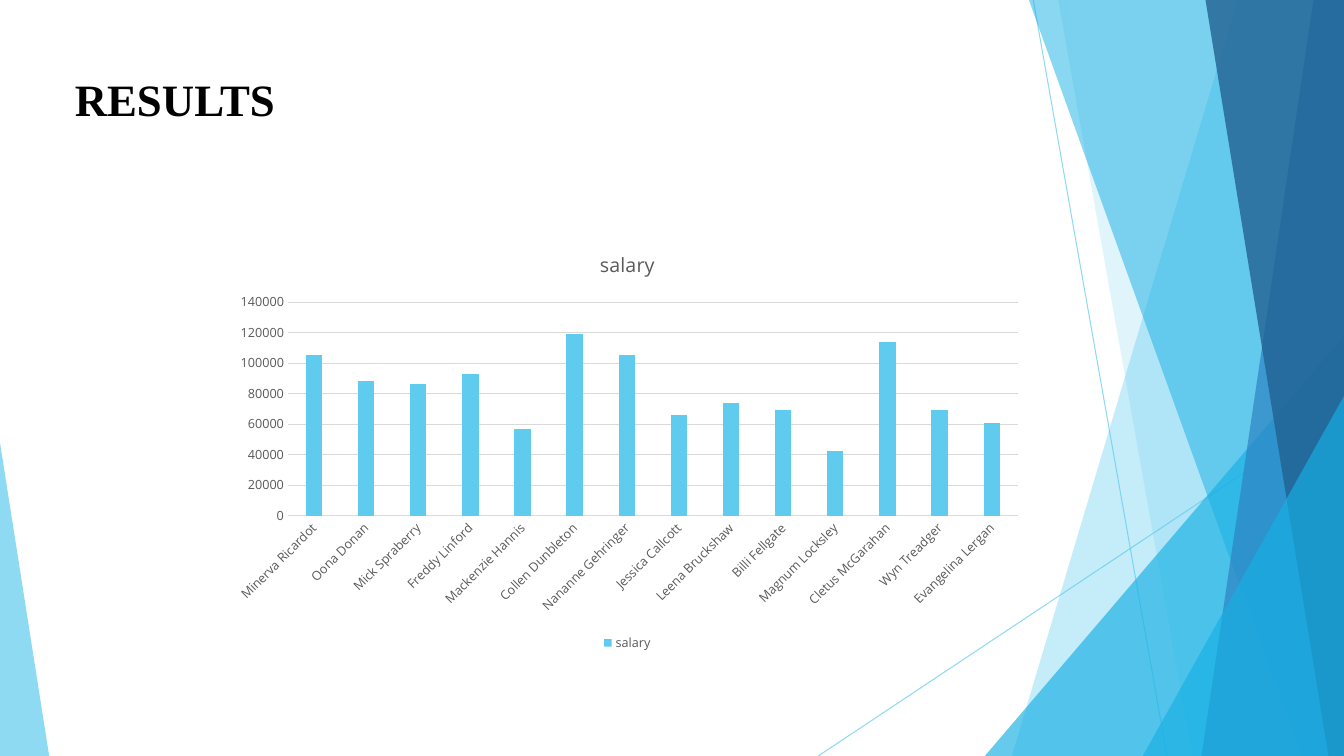
"""Build the salary results slide with its faceted side decoration."""
import dataclasses

import lxml.etree
import pptx
import pptx.chart.data
import pptx.dml.color
import pptx.enum.chart
import pptx.enum.shapes
import pptx.enum.text
import pptx.oxml.ns
import pptx.util

Cm = pptx.util.Cm
Pt = pptx.util.Pt
qn = pptx.oxml.ns.qn

WIDTH, HEIGHT = 33.87, 19.05

SALARIES = {
    "Minerva Ricardot": 105000,
    "Oona Donan": 88000,
    "Mick Spraberry": 86000,
    "Freddy Linford": 93000,
    "Mackenzie Hannis": 57000,
    "Collen Dunbleton": 119000,
    "Nananne Gehringer": 105000,
    "Jessica Callcott": 66000,
    "Leena Bruckshaw": 74000,
    "Billi Fellgate": 69000,
    "Magnum Locksley": 42000,
    "Cletus McGarahan": 114000,
    "Wyn Treadger": 69000,
    "Evangelina Lergan": 61000,
}


@dataclasses.dataclass(frozen=True)
class Theme:
    heading_font: str = "Times New Roman"
    chart_font: str = "Open Sans"
    black: str = "000000"
    grey: str = "595959"
    rule: str = "D9D9D9"
    sky: str = "5FCBEF"
    cyan: str = "17B0E4"
    blue: str = "2E83C3"
    navy: str = "226292"
    heading_size: int = 32
    chart_title_size: int = 14
    chart_size: int = 10
    label_size: int = 9
    hairline: float = 0.75


def rgb(code):
    return pptx.dml.color.RGBColor.from_string(code)


def assign(target, formats):
    for name, value in formats.items():
        setattr(target, name, value)


def set_opacity(fill_parent, percent):
    for color in fill_parent.iter(qn("a:srgbClr")):
        alpha = lxml.etree.SubElement(color, qn("a:alpha"))
        alpha.set("val", str(percent * 1000))


class SlideBuilder:
    def __init__(self, slide, theme):
        self.slide = slide
        self.shapes = slide.shapes
        self.theme = theme

    def style_font(self, font, face, size, color, bold=False):
        assign(font, {"name": face, "size": Pt(size), "bold": bold})
        font.color.rgb = rgb(color)

    def style_rule(self, line):
        line.color.rgb = rgb(self.theme.rule)
        line.width = Pt(self.theme.hairline)

    def tint(self, shape, color, opacity):
        shape.shadow.inherit = False
        shape.fill.solid()
        shape.fill.fore_color.rgb = rgb(color)
        shape.line.fill.background()
        set_opacity(shape._element.spPr, opacity)

    def hairline(self, start, end):
        ends = [Cm(value) for value in (*start, *end)]
        ray = self.shapes.add_connector(
            pptx.enum.shapes.MSO_CONNECTOR.STRAIGHT, *ends)
        ray.line.color.rgb = rgb(self.theme.sky)
        ray.line.width = Pt(self.theme.hairline)
        properties = ray._element.spPr
        set_opacity(properties, 70)
        lxml.etree.SubElement(properties, qn("a:effectLst"))

    def panel(self, top_left, bottom_left, color, opacity):
        outline = self.shapes.build_freeform(Cm(top_left), 0)
        outline.add_line_segments([
            (Cm(WIDTH), 0),
            (Cm(WIDTH), Cm(HEIGHT)),
            (Cm(bottom_left), Cm(HEIGHT)),
        ])
        self.tint(outline.convert_to_shape(), color, opacity)

    def wedge(self, left, right, top, apex, color, opacity):
        facet = self.shapes.add_shape(
            pptx.enum.shapes.MSO_SHAPE.ISOSCELES_TRIANGLE,
            Cm(left), Cm(top), Cm(right - left), Cm(HEIGHT - top))
        facet.adjustments[0] = apex
        self.tint(facet, color, opacity)

    def title(self, text, left, top, width, height):
        heading = self.shapes.title
        assign(heading, {"left": Cm(left), "top": Cm(top),
                         "width": Cm(width), "height": Cm(height)})
        frame = heading.text_frame
        frame.text = text
        assign(frame, {
            "word_wrap": True,
            "auto_size": pptx.enum.text.MSO_AUTO_SIZE.NONE,
            "vertical_anchor": pptx.enum.text.MSO_ANCHOR.BOTTOM,
        })
        paragraph = frame.paragraphs[0]
        paragraph.alignment = pptx.enum.text.PP_ALIGN.LEFT
        self.style_font(paragraph.runs[0].font, self.theme.heading_font,
                        self.theme.heading_size, self.theme.black, bold=True)

    def column_chart(self, name, values, left, top, width, height):
        theme = self.theme
        data = pptx.chart.data.CategoryChartData()
        data.categories = list(values)
        data.add_series(name, list(values.values()))
        chart = self.shapes.add_chart(
            pptx.enum.chart.XL_CHART_TYPE.COLUMN_CLUSTERED,
            Cm(left), Cm(top), Cm(width), Cm(height), data).chart
        self.style_font(chart.font, theme.chart_font, theme.chart_size, theme.black)
        assign(chart, {"has_title": True, "has_legend": True})

        caption = chart.chart_title.text_frame
        caption.text = name
        self.style_font(caption.paragraphs[0].runs[0].font, theme.chart_font,
                        theme.chart_title_size, theme.grey)
        assign(chart.legend, {
            "position": pptx.enum.chart.XL_LEGEND_POSITION.BOTTOM,
            "include_in_layout": False,
        })

        names, amounts = chart.category_axis, chart.value_axis
        tick_none = pptx.enum.chart.XL_TICK_MARK.NONE
        for axis in (names, amounts):
            assign(axis, {"major_tick_mark": tick_none, "minor_tick_mark": tick_none})
        for labelled in (names.tick_labels, amounts.tick_labels, chart.legend):
            self.style_font(labelled.font, theme.chart_font,
                            theme.label_size, theme.grey)
        names._element.txPr.bodyPr.set("rot", "-2700000")
        self.style_rule(names.format.line)
        amounts.format.line.fill.background()
        assign(amounts, {"minimum_scale": 0, "maximum_scale": 140000,
                         "major_unit": 20000, "has_major_gridlines": True})
        self.style_rule(amounts.major_gridlines.format.line)

        plot = chart.plots[0]
        assign(plot, {"gap_width": 219, "overlap": -27, "vary_by_categories": False})
        columns = plot.series[0].format.fill
        columns.solid()
        columns.fore_color.rgb = rgb(theme.sky)


def main():
    deck = pptx.Presentation()
    assign(deck, {"slide_width": Cm(WIDTH), "slide_height": Cm(HEIGHT)})
    theme = Theme()
    results = SlideBuilder(deck.slides.add_slide(deck.slide_layouts[5]), theme)

    results.hairline((26.04, 0), (29.41, HEIGHT))
    results.hairline((WIDTH, 10.24), (20.62, HEIGHT))
    results.panel(31.19, 25.5, theme.sky, 36)
    results.panel(26.67, 30.05, theme.sky, 20)
    results.wedge(24.82, WIDTH, 8.46, 1, theme.cyan, 66)
    results.panel(25.93, 32.79, theme.cyan, 50)
    results.panel(33.1, 30.28, theme.blue, 70)
    results.panel(30.38, 33.48, theme.navy, 80)
    results.wedge(28.8, WIDTH, 9.98, 1, theme.cyan, 66)
    results.wedge(0, 1.24, 11.15, 0, theme.sky, 70)

    results.title("RESULTS", 1.63, 1.65, 19.28, 1.63)
    results.column_chart("salary", SALARIES, 5.56, 5.84, 20.5, 10.69)
    deck.save("out.pptx")


if __name__ == "__main__":
    main()
